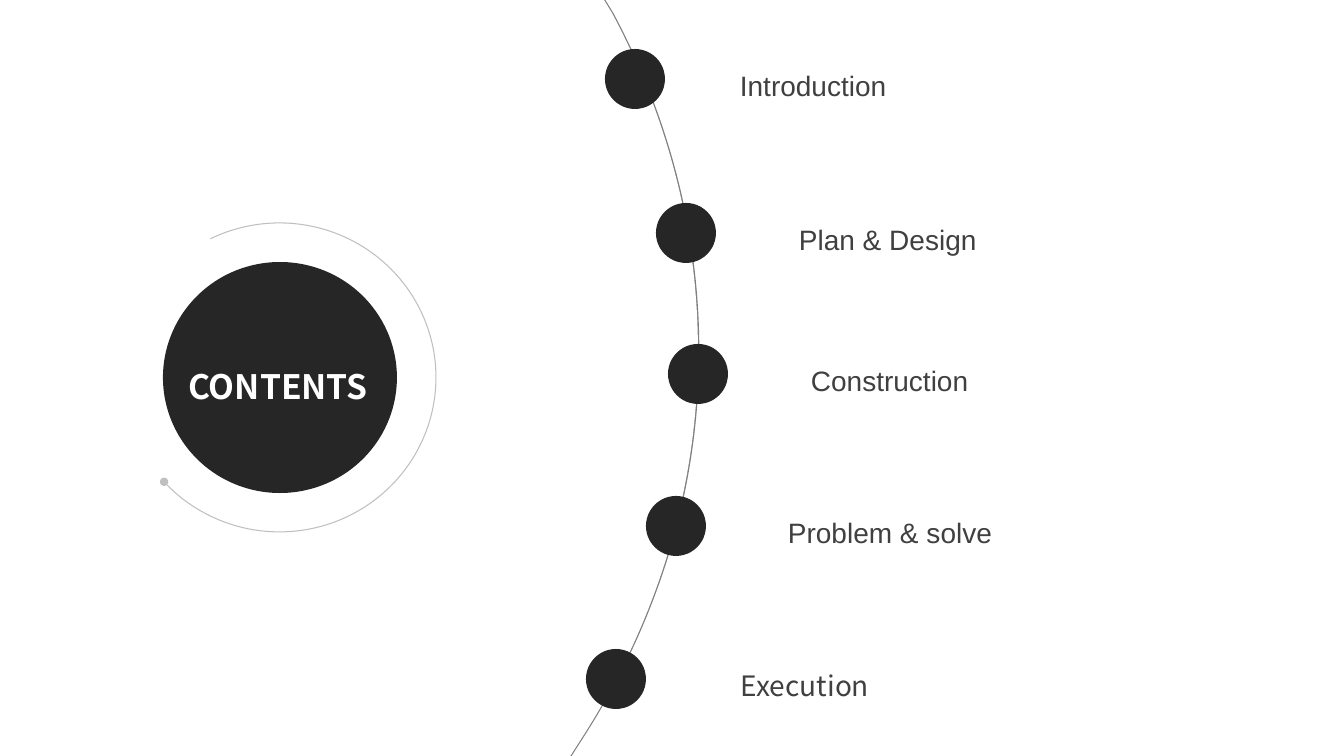
from lxml import etree
from pptx import Presentation
from pptx import util as u
from pptx.dml.color import RGBColor
from pptx.enum import shapes, text
from pptx.oxml.ns import qn

PX = 914400 / 100.8  # EMU in one px
COLORS = {"dark": "262626", "label": "404040", "ring": "BFBFBF",
          "edge": "808080", "white": "FFFFFF"}
SANS, CJK = "Arial", "Noto Sans CJK KR"


def px(length):
    return u.Emu(round(length * PX))


def bezier(start, control_1, control_2, end, steps=40):
    """Points along a cubic curve, without its start."""
    points = []
    for step in range(1, steps + 1):
        t = step / steps
        weights = ((1 - t) ** 3, 3 * t * (1 - t) ** 2, 3 * t * t * (1 - t), t ** 3)
        corners = (start, control_1, control_2, end)
        points.append(tuple(sum(w * corner[axis] for w, corner in zip(weights, corners))
                            for axis in (0, 1)))
    return points


class SlideBuilder:
    def __init__(self, presentation):
        self.slide = presentation.slides.add_slide(presentation.slide_layouts[6])

    def color(self, name):
        return RGBColor.from_string(COLORS[name])

    def paint(self, shape, fill):
        shape.shadow.inherit = False
        shape.fill.solid()
        shape.fill.fore_color.rgb = self.color(fill)
        shape.line.fill.background()

    def ellipse(self, left, top, width, height, fill="dark"):
        shape = self.slide.shapes.add_shape(
            shapes.MSO_SHAPE.OVAL, px(left), px(top), px(width), px(height))
        self.paint(shape, fill)

    def arc(self, left, top, width, height, start_degrees, end_degrees):
        shape = self.slide.shapes.add_shape(
            shapes.MSO_SHAPE.ARC, px(left), px(top), px(width), px(height))
        shape.shadow.inherit = False
        shape.adjustments[0] = start_degrees * 0.6
        shape.adjustments[1] = end_degrees * 0.6
        shape.fill.background()
        shape.line.color.rgb = self.color("ring")
        shape.line.width = u.Pt(0.75)
        line = shape.line._get_or_add_ln()
        etree.SubElement(line, qn("a:tailEnd"), type="oval")

    def panel(self, points):
        """White outline with a thin hard shadow to its right."""
        corners = [(px(x), px(y)) for x, y in points]
        builder = self.slide.shapes.build_freeform(*corners[0], scale=1.0)
        builder.add_line_segments(corners[1:], close=True)
        shape = builder.convert_to_shape()
        self.paint(shape, "white")
        effects = shape._element.spPr.find(qn("a:effectLst"))
        shadow = etree.SubElement(effects, qn("a:outerShdw"), blurRad="0",
                                  dist=str(u.Pt(1)), dir="0", algn="l", rotWithShape="0")
        etree.SubElement(shadow, qn("a:srgbClr"), val=COLORS["edge"])

    def text(self, words, left, top, width, height, size=20, font=SANS,
             color="label", bold=False, align=text.PP_ALIGN.LEFT):
        box = self.slide.shapes.add_textbox(px(left), px(top), px(width), px(height))
        frame = box.text_frame
        frame.word_wrap = True
        frame.auto_size = text.MSO_AUTO_SIZE.SHAPE_TO_FIT_TEXT
        frame.text = words
        paragraph = frame.paragraphs[0]
        paragraph.alignment = align
        paragraph.line_spacing = 1.5
        run = paragraph.runs[0]
        run.font.name, run.font.size, run.font.bold = font, u.Pt(size), bold
        run.font.color.rgb = self.color(color)


def main():
    presentation = Presentation()
    presentation.slide_width, presentation.slide_height = px(1344), px(756)
    builder = SlideBuilder(presentation)

    # Curved panel
    upper, middle, lower = (612, 13), (698, 351), (585, 733)
    builder.panel([(31, 0), (604, 0), upper,
                   *bezier(upper, (666, 114), (698, 229), middle),
                   *bezier(middle, (698, 491), (656, 621), lower),
                   (569, 758), (31, 758)])

    # Title disc and ring
    builder.ellipse(163, 262, 234, 231)
    builder.text("CONTENTS", 161, 341, 234, 65, size=24, font=CJK, color="white",
                 bold=True, align=text.PP_ALIGN.CENTER)
    builder.arc(123, 223, 313, 309, 243.54, 137.88)

    # Chapters: label, dot left, dot top, label left, label width, font
    chapters = [
        ("Introduction", 605, 49, 730, 506, SANS),
        ("Plan & Design", 656, 203, 789, 506, SANS),
        ("Construction", 668, 344, 801, 506, SANS),
        ("Problem & solve", 646, 496, 778, 506, SANS),
        ("Execution", 586, 649, 731, 300, CJK),
    ]
    for label, dot_left, dot_top, label_left, label_width, font in chapters:
        builder.ellipse(dot_left, dot_top, 60, 60)
        builder.text(label, label_left, dot_top - 2, label_width, 54, font=font)

    presentation.save("out.pptx")


if __name__ == "__main__":
    main()
